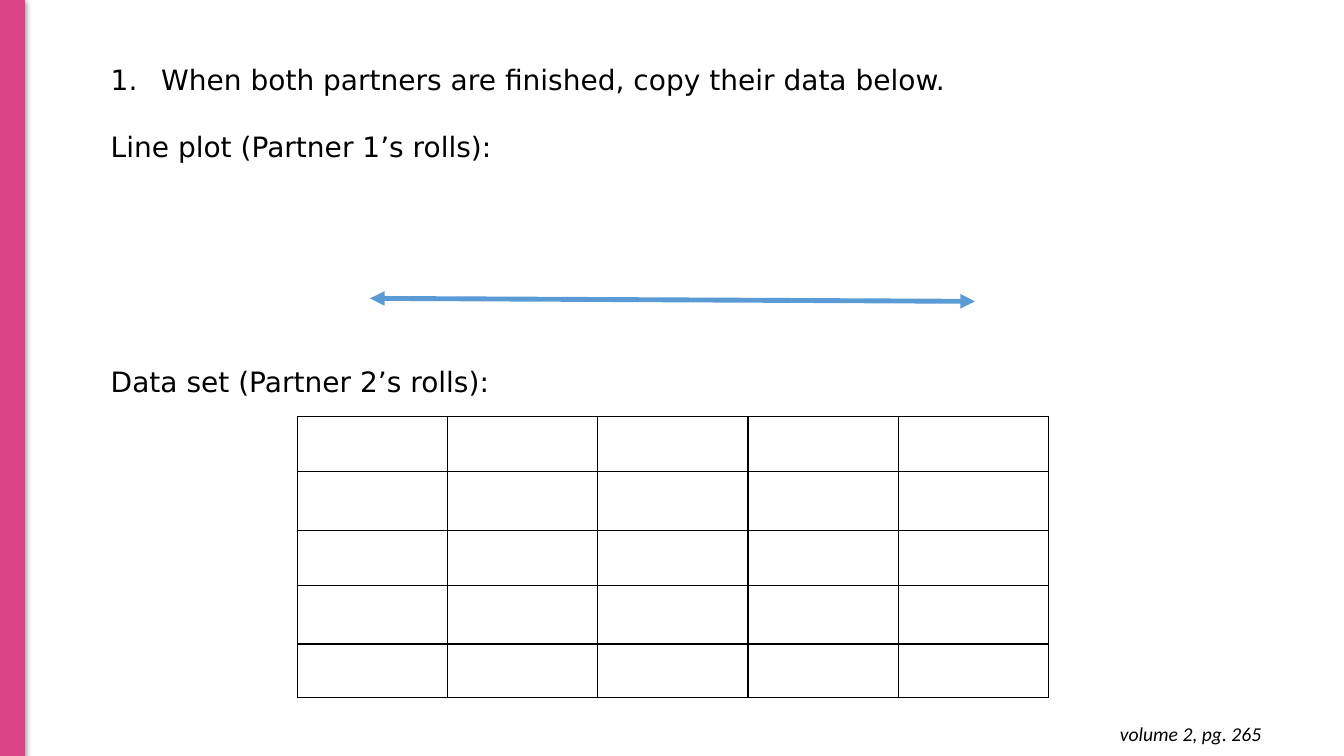
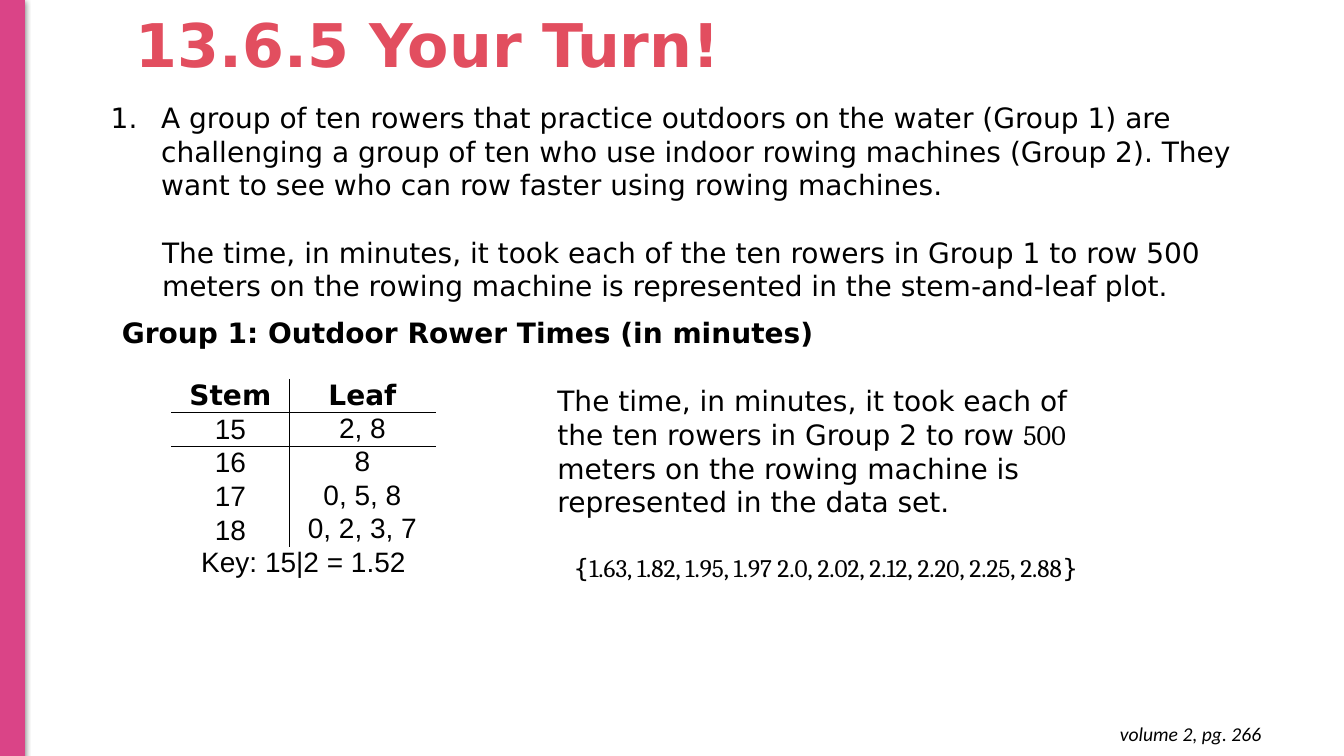
from lxml import etree
from pptx import Presentation
from pptx import util as u
from pptx.dml.color import RGBColor
from pptx.enum import shapes, text
from pptx.oxml import ns


class Theme:
    pink = RGBColor(0xDA, 0x44, 0x87)
    title = RGBColor(0xE2, 0x4E, 0x5F)
    ink = RGBColor(0, 0, 0)
    arrow = RGBColor(0x5B, 0x9B, 0xD5)
    main_font = "DejaVu Sans"
    math_font = "Cambria"
    table_font = "Arial"
    footer_font = "Calibri"
    title_size = u.Pt(43)
    body_size = u.Pt(20)
    set_size = u.Pt(18)
    footer_size = u.Pt(14)
    line_gap = u.Pt(24)
    plain_table = "{2D5ABB26-0587-4C30-8999-92F81FD0307C}"


def add_box(page, place, lines, size=Theme.body_size, font=Theme.main_font, color=Theme.ink):
    box = page.shapes.add_textbox(*map(u.Inches, place))
    frame = box.text_frame
    frame.word_wrap = True
    for number, pieces in enumerate(lines):
        para = frame.add_paragraph() if number else frame.paragraphs[0]
        for position, piece in enumerate(pieces):
            span = para.add_run()
            span.text = piece
            span.font.size = size
            span.font.name = Theme.math_font if position % 2 else font
            span.font.color.rgb = color
    return frame


def add_grid(page, left, top, widths, heights, borders):
    frame = page.shapes.add_table(
        len(heights), len(widths), u.Inches(left), u.Inches(top),
        u.Inches(sum(widths)), u.Inches(sum(heights)))
    grid = frame.table
    grid.first_row = grid.horz_banding = False
    grid._tbl.tblPr.find(ns.qn("a:tableStyleId")).text = Theme.plain_table
    for column, width in zip(grid.columns, widths):
        column.width = u.Inches(width)
    for row, height in zip(grid.rows, heights):
        row.height = u.Inches(height)
    for row in range(len(heights)):
        for column in range(len(widths)):
            cell = grid.cell(row, column)
            cell.fill.background()
            properties = cell._tc.get_or_add_tcPr()
            for position, side in enumerate(borders(row, column)):
                line = etree.Element(ns.qn(f"a:ln{side}"), w=str(u.Pt(1)))
                fill = etree.SubElement(line, ns.qn("a:solidFill"))
                etree.SubElement(fill, ns.qn("a:srgbClr"), val=str(Theme.ink))
                properties.insert(position, line)
    return grid


deck = Presentation()
deck.slide_width = u.Inches(13.33)
deck.slide_height = u.Inches(7.5)

contents = [
    (265, 0.57, 4.14, [
        ["When both partners are finished, copy their data below."],
        ["Line plot (Partner 1’s rolls):"],
        ["Data set (Partner 2’s rolls):"],
    ], [0, 0, 0], [0, Theme.line_gap, 6 * Theme.line_gap]),
    (266, 0.95, 3.26, [
        ["A group of ten rowers that practice outdoors on the water (Group 1) are "
         "challenging a group of ten who use indoor rowing machines (Group 2). They "
         "want to see who can row faster using rowing machines."],
        ["The time, in minutes, it took each of the ten rowers in Group 1 to row 500 "
         "meters on the rowing machine is represented in the stem-and-leaf plot."],
        ["Group 1: Outdoor Rower Times (in minutes)"],
    ], [0, 0.51, 0.11], [0, Theme.line_gap, u.Pt(9.3)]),
]

pages = []
bodies = []
for page_number, top, height, lines, indents, gaps in contents:
    page = deck.slides.add_slide(deck.slide_layouts[6])
    pages.append(page)

    band = page.shapes.add_shape(
        shapes.MSO_SHAPE.RECTANGLE, 0, 0, u.Inches(0.24), u.Inches(7.51))
    band.fill.solid()
    band.fill.fore_color.rgb = Theme.pink
    band.line.color.rgb = Theme.pink
    band.line.width = u.Pt(0.75)
    band.shadow.inherit = False
    effects = band._element.spPr.find(ns.qn("a:effectLst"))
    shadow = etree.SubElement(
        effects, ns.qn("a:outerShdw"), blurRad=str(u.Pt(4.5)), dist=str(u.Pt(1.5)),
        dir="5400000", algn="ctr", rotWithShape="0")
    shade = etree.SubElement(shadow, ns.qn("a:srgbClr"), val=str(Theme.ink))
    etree.SubElement(shade, ns.qn("a:alpha"), val="50000")

    footer = add_box(page, (9.73, 7.06, 2.88, 0.44), [[f"volume 2, pg. {page_number}"]],
                     Theme.footer_size, Theme.footer_font)
    footer.margin_top = footer.margin_bottom = u.Inches(0.1)
    footer.paragraphs[0].alignment = text.PP_ALIGN.RIGHT
    footer.paragraphs[0].runs[0].font.italic = True

    body = add_box(page, (1, top, 11.5, height), lines)
    bodies.append(body)
    for para, indent, gap in zip(body.paragraphs, indents, gaps):
        para._p.get_or_add_pPr().set("marL", str(u.Inches(indent)))
        if gap:
            para.space_before = gap
    question = body.paragraphs[0]._p.get_or_add_pPr()
    question.set("marL", str(u.Inches(0.5)))
    question.set("indent", str(u.Inches(-0.5)))
    etree.SubElement(question, ns.qn("a:buFont"), typeface=Theme.main_font)
    etree.SubElement(question, ns.qn("a:buAutoNum"), type="arabicPeriod")

data_page, turn_page = pages

axis = data_page.shapes.add_connector(
    shapes.MSO_CONNECTOR.STRAIGHT,
    u.Inches(3.67), u.Inches(2.96), u.Inches(9.67), u.Inches(2.99))
axis.line.color.rgb = Theme.arrow
axis.line.width = u.Pt(3.5)
for end in ("headEnd", "tailEnd"):
    etree.SubElement(axis.line._get_or_add_ln(), ns.qn(f"a:{end}"), type="triangle")
etree.SubElement(axis._element.spPr, ns.qn("a:effectLst"))

add_grid(data_page, 2.95, 4.13, [1.49] * 5, [0.55, 0.58, 0.55, 0.58, 0.53],
         lambda row, column: "LRTB")

title = add_box(turn_page, (1.25, 0.07, 8.77, 0.82), [["13.6.5 Your Turn!"]],
                Theme.title_size, color=Theme.title)
title.vertical_anchor = text.MSO_ANCHOR.MIDDLE
title.paragraphs[0].line_spacing = 0.9
title.paragraphs[0].runs[0].font.bold = True
bodies[1].paragraphs[2].runs[0].font.bold = True

plot_rows = [
    ("Stem", "Leaf"),
    ("15", "2, 8"),
    ("16", "8"),
    ("17", "0, 5, 8"),
    ("18", "0, 2, 3, 7"),
    ("Key: 15|2 = 1.52",),
]
key_row = len(plot_rows) - 1


def plot_borders(row, column):
    if row == key_row:
        return ""
    return "RL"[column] + {0: "B", 1: "T"}.get(row, "")


plot = add_grid(turn_page, 1.7, 3.76, [1.17, 1.45], [0.33] * len(plot_rows), plot_borders)
plot.cell(key_row, 0).merge(plot.cell(key_row, 1))
for row, values in enumerate(plot_rows):
    for column, value in enumerate(values):
        cell = plot.cell(row, column)
        cell.margin_left = cell.margin_right = u.Inches(0.07)
        cell.margin_top = cell.margin_bottom = 0
        if column == 0 and 0 < row < key_row:
            cell.vertical_anchor = text.MSO_ANCHOR.MIDDLE
        para = cell.text_frame.paragraphs[0]
        para.text = value
        para.alignment = text.PP_ALIGN.CENTER
        span = para.runs[0]
        span.font.size = Theme.body_size
        span.font.name = Theme.table_font if row else Theme.main_font
        span.font.bold = row == 0
        span.font.color.rgb = Theme.ink

group_two = add_box(turn_page, (4.93, 3.76, 6.02, 2.09), [
    ["The time, in minutes, it took each of the ten rowers in Group 2 to row ", "500",
     " meters on the rowing machine is represented in the data set."],
    ["{", "1.63, 1.82, 1.95, 1.97 2.0, 2.02, 2.12, 2.20, 2.25, 2.88", "}"],
])
for para in group_two.paragraphs:
    para._p.get_or_add_pPr().set("marL", str(u.Inches(0.5)))
data_set = group_two.paragraphs[1]
data_set.alignment = text.PP_ALIGN.CENTER
data_set.space_before = Theme.line_gap
for span in data_set.runs:
    span.font.size = Theme.set_size

deck.save("out.pptx")
